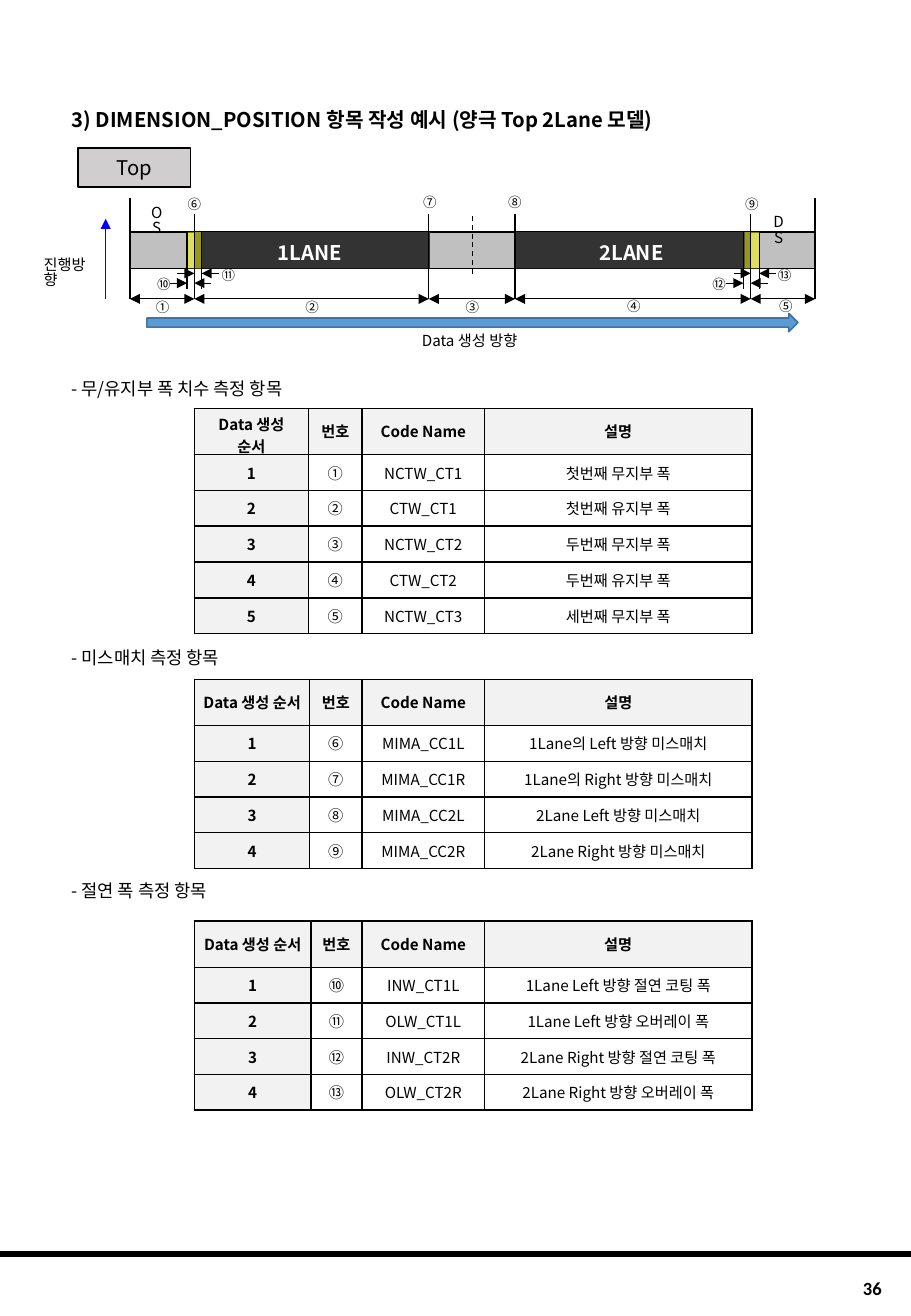
from dataclasses import dataclass

import lxml.etree
import pptx
import pptx.dml.color
import pptx.enum.dml
import pptx.enum.shapes
import pptx.enum.text
import pptx.oxml.ns
import pptx.util

Inches = pptx.util.Inches
Pt = pptx.util.Pt
qn = pptx.oxml.ns.qn
SHAPE = pptx.enum.shapes.MSO_SHAPE
ALIGN = pptx.enum.text.PP_ALIGN
MIDDLE = pptx.enum.text.MSO_ANCHOR.MIDDLE
FONT = "Noto Sans CJK KR"
BAR_TOP, BAR_HEIGHT = 1.91, 0.3
BASE = 2.46
BOUNDARIES = [1.07, 1.6, 3.53, 4.24, 6.18, 6.71]


@dataclass
class Label:
    text: str
    x: float
    y: float


@dataclass
class Section:
    heading: str
    heading_y: float
    top: float
    height: float
    order_width: float
    rows: list[tuple[str, str, str]]


LABELS = [
    Label("①", 1.34, 2.53), Label("②", 2.57, 2.53), Label("③", 3.89, 2.53),
    Label("④", 5.22, 2.52), Label("⑤", 6.47, 2.52), Label("⑥", 1.6, 1.68),
    Label("⑦", 3.54, 1.66), Label("⑧", 4.24, 1.66), Label("⑨", 6.19, 1.68),
    Label("⑩", 1.35, 2.34), Label("⑪", 1.88, 2.26), Label("⑫", 5.92, 2.34),
    Label("⑬", 6.46, 2.26),
]
HEADER = ("Data 생성 순서", "번호", "Code Name", "설명")
SECTIONS = [
    Section("- 무/유지부 폭 치수 측정 항목", 3.2, 3.36, 1.77, 0.94, [
        ("①", "NCTW_CT1", "첫번째 무지부 폭"),
        ("②", "CTW_CT1", "첫번째 유지부 폭"),
        ("③", "NCTW_CT2", "두번째 무지부 폭"),
        ("④", "CTW_CT2", "두번째 유지부 폭"),
        ("⑤", "NCTW_CT3", "세번째 무지부 폭"),
    ]),
    Section("- 미스매치 측정 항목", 5.41, 5.59, 1.47, 0.95, [
        ("⑥", "MIMA_CC1L", "1Lane의 Left 방향 미스매치"),
        ("⑦", "MIMA_CC1R", "1Lane의 Right 방향 미스매치"),
        ("⑧", "MIMA_CC2L", "2Lane Left 방향 미스매치"),
        ("⑨", "MIMA_CC2R", "2Lane Right 방향 미스매치"),
    ]),
    Section("- 절연 폭 측정 항목", 7.33, 7.58, 1.47, 0.96, [
        ("⑩", "INW_CT1L", "1Lane Left 방향 절연 코팅 폭"),
        ("⑪", "OLW_CT1L", "1Lane Left 방향 오버레이 폭"),
        ("⑫", "INW_CT2R", "2Lane Right 방향 절연 코팅 폭"),
        ("⑬", "OLW_CT2R", "2Lane Right 방향 오버레이 폭"),
    ]),
]


def color(value: str) -> pptx.dml.color.RGBColor:
    return pptx.dml.color.RGBColor.from_string(value)


def write(frame, text: str, *, size: float = 9, bold: bool = False, ink: str = "000000",
          align=ALIGN.CENTER, font: str = FONT, spacing: float = 1.0) -> None:
    para = frame.paragraphs[0]
    para.alignment = align
    para.line_spacing = spacing
    span = para.add_run()
    span.text = text
    span.font.size = Pt(size)
    span.font.bold = bold
    span.font.name = font
    span.font.color.rgb = color(ink)
    lxml.etree.SubElement(span.font._element, qn("a:ea"), typeface=font)


def add_text(page, text: str, x: float, y: float, width: float, height: float = 0.24,
             **style) -> None:
    box = page.shapes.add_textbox(Inches(x), Inches(y - height / 2), Inches(width), Inches(height))
    frame = box.text_frame
    frame.margin_left = frame.margin_right = frame.margin_top = frame.margin_bottom = 0
    frame.word_wrap = True
    frame.vertical_anchor = MIDDLE
    write(frame, text, **style)


def add_block(page, kind, x: float, y: float, width: float, height: float, fill: str,
              outline: str = "", weight: float = 1, alpha: int = 100):
    block = page.shapes.add_shape(kind, Inches(x), Inches(y), Inches(width), Inches(height))
    block.shadow.inherit = False
    block.fill.solid()
    block.fill.fore_color.rgb = color(fill)
    if alpha < 100:
        tint = block._element.spPr.find(qn("a:solidFill"))[0]
        lxml.etree.SubElement(tint, qn("a:alpha"), val=str(alpha * 1000))
    if outline:
        block.line.color.rgb = color(outline)
        block.line.width = Pt(weight)
    else:
        block.line.fill.background()
    return block


def add_line(page, x1: float, y1: float, x2: float, y2: float, weight: float = 0.75,
             ink: str = "000000", dashed: bool = False, arrows: tuple[str, ...] = ()) -> None:
    line = page.shapes.add_connector(pptx.enum.shapes.MSO_CONNECTOR.STRAIGHT,
                                     Inches(x1), Inches(y1), Inches(x2), Inches(y2))
    line.line.color.rgb = color(ink)
    line.line.width = Pt(weight)
    if dashed:
        line.line.dash_style = pptx.enum.dml.MSO_LINE.DASH
    properties = line._element.spPr
    for end in arrows:
        lxml.etree.SubElement(properties.find(qn("a:ln")), qn(f"a:{end}"), type="triangle")
    lxml.etree.SubElement(properties, qn("a:effectLst"))


def format_cell(cell, text: str, bold: bool, shaded: bool) -> None:
    properties = cell._tc.get_or_add_tcPr()
    for side in ("lnL", "lnR", "lnT", "lnB"):
        border = lxml.etree.SubElement(properties, qn(f"a:{side}"), w=str(Pt(1)))
        paint = lxml.etree.SubElement(border, qn("a:solidFill"))
        lxml.etree.SubElement(paint, qn("a:srgbClr"), val="000000")
    if shaded:
        cell.fill.solid()
        cell.fill.fore_color.rgb = color("F2F2F2")
    else:
        cell.fill.background()
    cell.vertical_anchor = MIDDLE
    cell.margin_left = cell.margin_right = Inches(0.07)
    cell.margin_top = cell.margin_bottom = Inches(0.04)
    write(cell.text_frame, text, bold=bold)


def add_section(page, section: Section) -> None:
    add_text(page, section.heading, 0.59, section.heading_y, 5, size=10.5, align=ALIGN.LEFT)
    rows = [HEADER] + [(str(order), *row) for order, row in enumerate(section.rows, 1)]
    widths = [section.order_width, 1.38 - section.order_width, 1.01, 2.2]
    table = page.shapes.add_table(len(rows), len(widths), Inches(1.6), Inches(section.top),
                                  Inches(sum(widths)), Inches(section.height)).table
    table.first_row = table.horz_banding = False
    for column, width in zip(table.columns, widths):
        column.width = Inches(width)
    for i, row in enumerate(rows):
        for j, text in enumerate(row):
            emphasis = i == 0 or j == 0
            format_cell(table.cell(i, j), text, emphasis, emphasis)


def add_diagram(page) -> None:
    top = add_block(page, SHAPE.RECTANGLE, 0.64, 1.22, 0.93, 0.32, "D0CECE", "000000")
    top.text_frame.vertical_anchor = MIDDLE
    write(top.text_frame, "Top", size=12)
    add_block(page, SHAPE.RECTANGLE, 1.07, BAR_TOP, 5.64, BAR_HEIGHT, "C0C0C0", "000000", 0.75)
    for name, x, middle in (("1LANE", 1.6, 2.55), ("2LANE", 4.24, 5.2)):
        add_block(page, SHAPE.RECTANGLE, x, BAR_TOP, 1.94, BAR_HEIGHT, "333333")
        add_text(page, name, middle - 0.45, 2.08, 0.9, size=12, bold=True, ink="FFFFFF")
    for x in (1.54, 6.13):
        add_block(page, SHAPE.RECTANGLE, x, BAR_TOP, 0.12, BAR_HEIGHT, "FFFF00", alpha=50)
    add_text(page, "OS", 1.22, 1.82, 0.14, 0.3, spacing=0.85)
    add_text(page, "DS", 6.34, 1.9, 0.14, 0.3, spacing=0.85)
    add_text(page, "진행방향", 0.36, 2.25, 0.43, 0.3, align=ALIGN.LEFT, spacing=0.85)

    add_line(page, 0.87, BASE, 0.87, 1.8, ink="0000FF", arrows=("tailEnd",))
    add_line(page, 3.89, 1.78, 3.89, 2.28, dashed=True)
    for x in BOUNDARIES:
        add_line(page, x, 1.63 if x in (BOUNDARIES[0], BOUNDARIES[-1]) else 1.76, x, BASE)
    for start, end in zip(BOUNDARIES, BOUNDARIES[1:]):
        add_line(page, start, BASE, end, BASE, 0.5, arrows=("headEnd", "tailEnd"))
    for left, center, right in ((1.54, 1.6, 1.66), (6.12, 6.18, 6.25)):
        for x in (left, right):
            add_line(page, x, BAR_TOP, x, 2.38)
        for tip, shift, y in ((left, -0.14, 2.33), (center, 0.14, 2.33),
                              (center, -0.14, 2.25), (right, 0.14, 2.25)):
            add_line(page, tip + shift, y, tip, y, 0.5, arrows=("tailEnd",))
    for label in LABELS:
        add_text(page, label.text, label.x - 0.13, label.y, 0.26, size=8)
    add_block(page, SHAPE.RIGHT_ARROW, 1.21, 2.58, 5.36, 0.15, "5B9BD5", "43739E")
    add_text(page, "Data 생성 방향", 2.74, 2.8, 2.25)


def main() -> None:
    deck = pptx.Presentation()
    deck.slide_width = Inches(7.5)
    deck.slide_height = Inches(10.83)
    page = deck.slides.add_slide(deck.slide_layouts[6])
    add_line(page, 0, 10.32, 7.5, 10.32, 3)
    add_text(page, "36", 6.18, 10.6, 1.08, size=11, bold=True, align=ALIGN.RIGHT, font="Calibri")
    add_text(page, "3) DIMENSION_POSITION 항목 작성 예시 (양극 Top 2Lane 모델)",
             0.59, 0.98, 6.4, size=12, bold=True, align=ALIGN.LEFT)
    add_diagram(page)
    for section in SECTIONS:
        add_section(page, section)
    deck.save("out.pptx")


if __name__ == "__main__":
    main()
